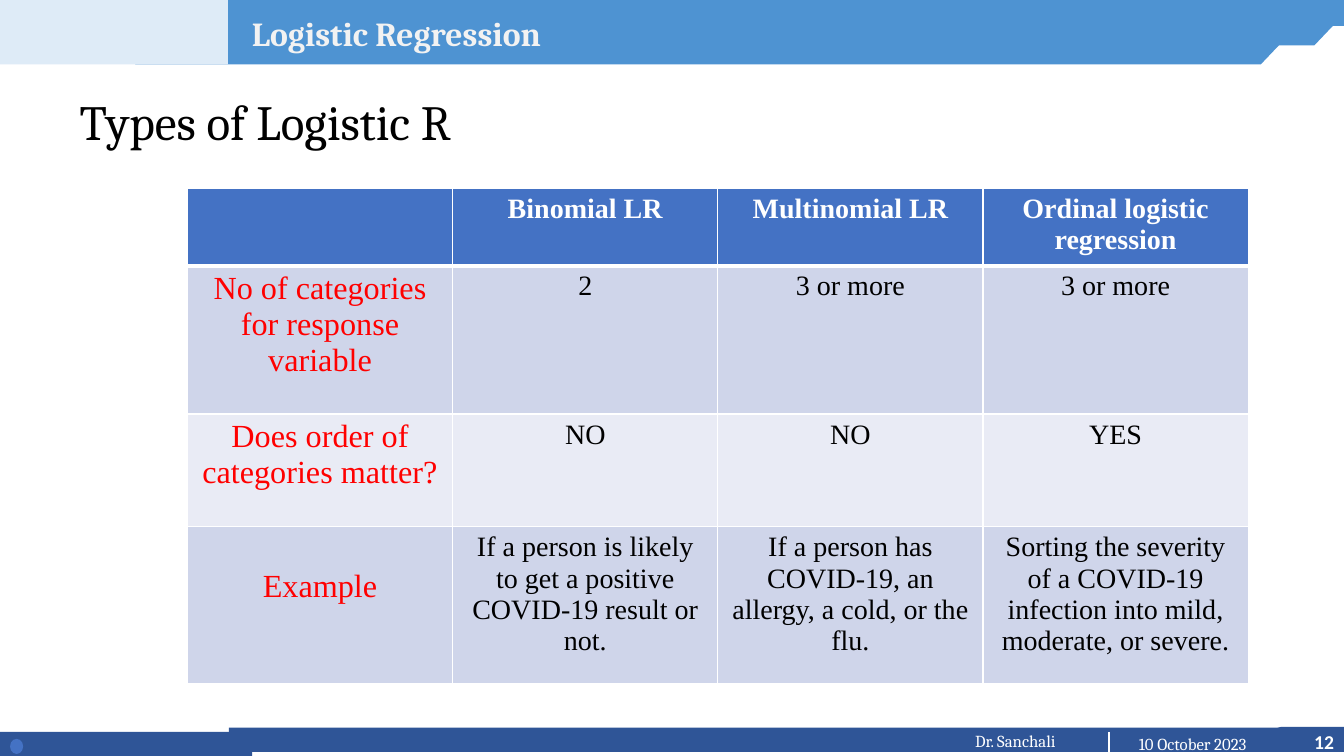
import pptx
import pptx.dml.color
import pptx.enum.shapes
import pptx.enum.text
import pptx.oxml
import pptx.oxml.ns
import pptx.util

Inches, Pt = pptx.util.Inches, pptx.util.Pt
SHAPE = pptx.enum.shapes.MSO_SHAPE
ALIGN = pptx.enum.text.PP_ALIGN
ANCHOR = pptx.enum.text.MSO_ANCHOR

NAVY, BLUE, SKY, PALE, WHITE = "2F5597", "4472C4", "4E93D2", "DEEBF7", "FFFFFF"
BAND_FILLS = ["CFD5EA", "E9EBF5"]

# preset, (left, top, width, height), fill, slant
DECOR = [
    (SHAPE.FLOWCHART_CARD, (12.55, 7.21, 0.79, 0.25), NAVY, None),
    (SHAPE.RECTANGLE, (-0.01, 7.26, 2.51, 0.26), NAVY, None),
    (SHAPE.RECTANGLE, (2.27, 7.22, 11.07, 0.24), NAVY, None),
    (SHAPE.PARALLELOGRAM, (1.82, -0.01, 11.53, 0.27), SKY, 0),
    (SHAPE.PARALLELOGRAM, (1.93, 0.11, 11.43, 0.34), SKY, 0.95),
    (SHAPE.PARALLELOGRAM, (1.34, 0.36, 11.43, 0.28), SKY, 0.95),
    (SHAPE.RECTANGLE, (0, -0.01, 2.26, 0.65), PALE, None),
    (SHAPE.FLOWCHART_CONNECTOR, (0.1, 7.33, 0.13, 0.15), BLUE, None),
]

# text, box, alignment, font name, size, colour, bold
LABELS = [
    ("12", (12.43, 7.19, 0.9, 0.34), ALIGN.RIGHT, "Calibri", 14, WHITE, True),
    ("10 October 2023", (11, 7.23, 1.66, 0.3), ALIGN.CENTER, "Cambria", 12, WHITE, False),
    ("Dr. Sanchali", (9.24, 7.2, 1.66, 0.3), ALIGN.CENTER, "Cambria", 12, WHITE, False),
    ("Logistic Regression", (2.4, 0.08, 10.52, 0.5), ALIGN.LEFT, "Cambria", 24, "F2F2F2", True),
]

TITLE = "Types of Logistic R"
TITLE_BOX = (0.69, 0.91, 5.27, 0.64)

ROWS = [
    ["", "Binomial LR", "Multinomial LR", "Ordinal logistic regression"],
    ["No of categories for response variable", "2", "3 or more", "3 or more"],
    ["Does order of categories matter?", "NO", "NO", "YES"],
    ["Example",
     "If a person is likely to get a positive COVID-19 result or not.",
     "If a person has COVID-19, an allergy, a cold, or the flu.",
     "Sorting the severity of a COVID-19 infection into mild, moderate, or severe."],
]
TABLE_BOX = (1.86, 1.87, 10.52, 4.92)
ROW_HEIGHTS = [0.74, 1.47, 1.12, 1.56]
EXAMPLE_DROP = 0.42


def rgb(colour):
    return pptx.dml.color.RGBColor.from_string(colour)


def inches(box):
    return [Inches(value) for value in box]


def write(text_frame, text, alignment, name, size, colour, bold=False):
    paragraph = text_frame.paragraphs[0]
    paragraph.alignment = alignment
    run = paragraph.add_run()
    run.text = text
    for key, value in {"name": name, "size": Pt(size), "bold": bold}.items():
        setattr(run.font, key, value)
    run.font.color.rgb = rgb(colour)
    return paragraph


def add_borders(cell, widths):
    """Draw white cell borders; widths maps a side letter to points."""
    properties = cell._tc.get_or_add_tcPr()
    for side, width in widths.items():
        properties.append(pptx.oxml.parse_xml(
            f'<a:ln{side} {pptx.oxml.ns.nsdecls("a")} w="{Pt(width)}"><a:solidFill>'
            f'<a:srgbClr val="{WHITE}"/></a:solidFill></a:ln{side}>'))


def add_decor(slide):
    for preset, box, colour, slant in DECOR:
        shape = slide.shapes.add_shape(preset, *inches(box))
        shape.shadow.inherit = False
        shape.fill.solid()
        shape.fill.fore_color.rgb = rgb(colour)
        shape.line.fill.background()
        if slant is not None:
            shape.adjustments[0] = slant
    divider = slide.shapes.add_connector(
        pptx.enum.shapes.MSO_CONNECTOR.STRAIGHT, *inches((11, 7.26, 11, 7.51)))
    divider.line.color.rgb = rgb(WHITE)
    divider.line.width = Pt(1.5)
    divider._element.spPr.append(
        pptx.oxml.parse_xml(f'<a:effectLst {pptx.oxml.ns.nsdecls("a")}/>'))


def add_labels(slide):
    for text, box, *style in LABELS:
        text_frame = slide.shapes.add_textbox(*inches(box)).text_frame
        text_frame.word_wrap = True
        write(text_frame, text, *style)


def fill_title(slide):
    title = slide.shapes.title
    title.left, title.top, title.width, title.height = inches(TITLE_BOX)
    title.text_frame.auto_size = pptx.enum.text.MSO_AUTO_SIZE.NONE
    title.text_frame.vertical_anchor = ANCHOR.BOTTOM
    paragraph = write(title.text_frame, TITLE, ALIGN.LEFT, "Cambria", 35.1, "000000")
    paragraph.line_spacing = 0.9


def add_types_table(slide):
    table = slide.shapes.add_table(len(ROWS), len(ROWS[0]), *inches(TABLE_BOX)).table
    for row, height in zip(table.rows, ROW_HEIGHTS):
        row.height = Inches(height)
    for row_index, texts in enumerate(ROWS):
        header = row_index == 0
        for column_index, text in enumerate(texts):
            cell = table.cell(row_index, column_index)
            add_borders(cell, {"L": 1, "R": 1, "T": 3 if row_index == 1 else 1,
                               "B": 3 if header else 1})
            cell.fill.solid()
            cell.fill.fore_color.rgb = rgb(BLUE if header else BAND_FILLS[(row_index - 1) % 2])
            if header:
                size, colour = 20, WHITE
            elif column_index == 0:
                size, colour = 23, "FF0000"
            else:
                size, colour = 20, "000000"
            if text:
                write(cell.text_frame, text, ALIGN.CENTER, "Times New Roman", size, colour, header)
    table.cell(len(ROWS) - 1, 0).margin_top = Inches(EXAMPLE_DROP)


def main():
    presentation = pptx.Presentation()
    presentation.slide_width, presentation.slide_height = inches((13.33, 7.5))
    slide = presentation.slides.add_slide(presentation.slide_layouts[5])
    add_decor(slide)
    add_labels(slide)
    fill_title(slide)
    add_types_table(slide)
    presentation.save("out.pptx")


if __name__ == "__main__":
    main()
